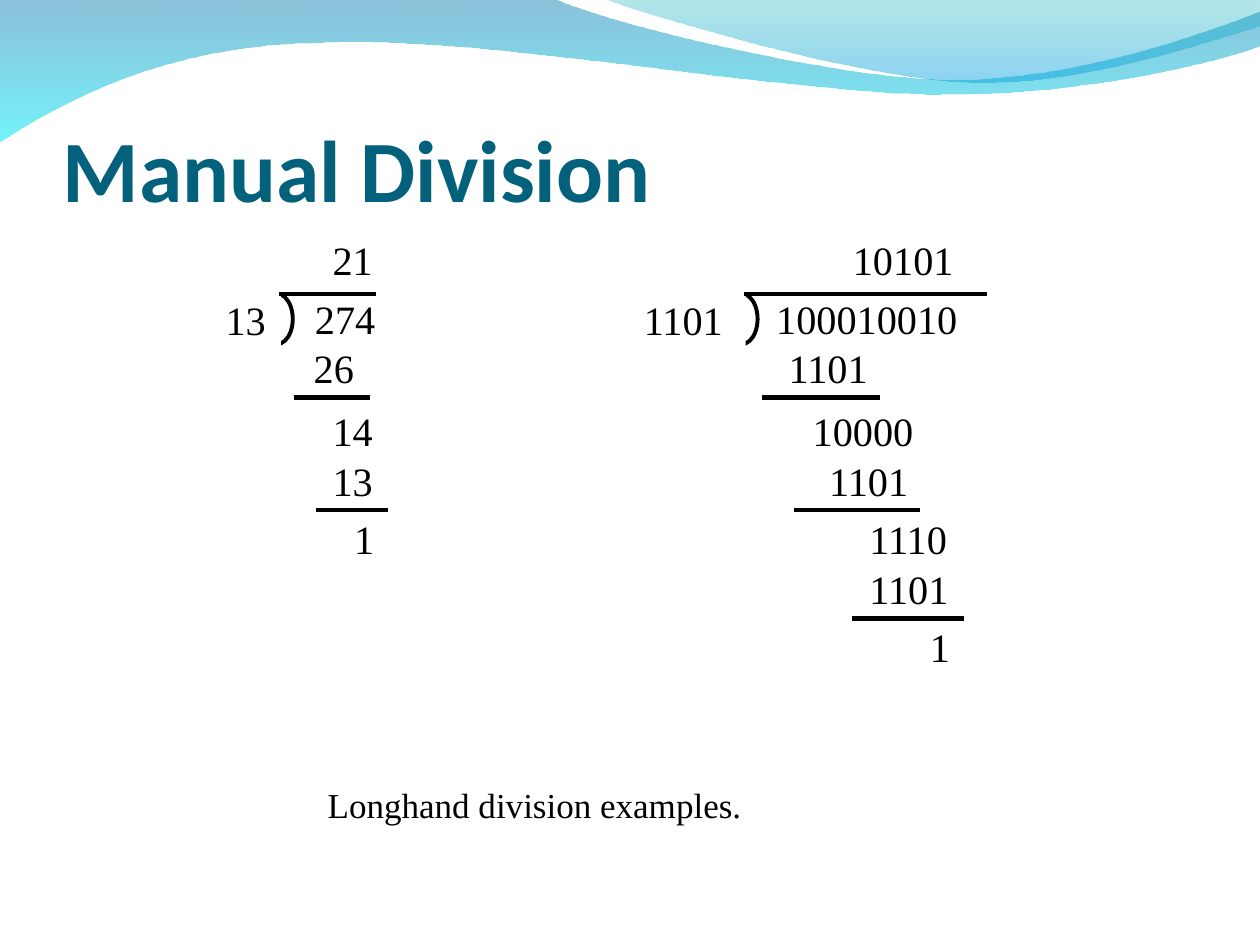
from lxml.etree import SubElement
from pptx import Presentation
from pptx.dml.color import RGBColor
from pptx.enum.shapes import MSO_CONNECTOR, MSO_SHAPE
from pptx.enum.text import MSO_ANCHOR, MSO_AUTO_SIZE, PP_ALIGN
from pptx.oxml.ns import qn
from pptx.util import Pt

BLACK = RGBColor(0x00, 0x00, 0x00)
WHITE = RGBColor(0xFF, 0xFF, 0xFF)
TITLE_TEAL = RGBColor(0x04, 0x61, 0x7B)
WAVE_BLUE = RGBColor(0x00, 0x79, 0xAF)
WAVE_CYAN = RGBColor(0x00, 0xEB, 0xF8)
CREST_GREEN = RGBColor(0x00, 0xAD, 0xB6)
CREST_BLUE = RGBColor(0x00, 0x9B, 0xE5)

SERIF = "Times New Roman"
DIGIT_SIZE = 23
DIGIT_WIDTH = 11.6
LINE_HEIGHT = 27

# Offsets from the top of a worked example
DIVIDEND_TOP = 33.3
STEP_TOPS = (61.8, 97.8, 126, 159.2, 188, 221.1)
RULE_DROP = 30.8  # from the top of a product to the rule below it

# Numbers are (digits, left), rules (left, right), from the example's left;
# a divisor is (digits, indent, panel width)
DECIMAL = dict(
    divisor=("13", 0, 31.7), bar_end=85.7,
    quotient=("21", 61.2), dividend=("274", 51.1),
    steps=[("26", 50.4), ("14", 61.2), ("13", 61.2), ("1", 73.4)],
    rules=[(38.9, 82.8), (51.8, 92.9)],
)
BINARY = dict(
    divisor=("1101", 11.5, 69.8), bar_end=207.4,
    quotient=("10101", 131), dividend=("100010010", 87.1),
    steps=[("1101", 94.3), ("10000", 108), ("1101", 117.4),
           ("1110", 140.4), ("1101", 140.4), ("1", 175)],
    rules=[(79.2, 146.2), (97.2, 169.2), (130.3, 194.4)],
)


def add_text(slide, text, left, top, width, height, size=DIGIT_SIZE, font=SERIF,
             color=BLACK, bold=False, align=PP_ALIGN.LEFT, wrap=False):
    box = slide.shapes.add_textbox(Pt(left), Pt(top), Pt(width), Pt(height))
    frame = box.text_frame
    frame.word_wrap = wrap
    frame.auto_size = MSO_AUTO_SIZE.NONE if wrap else MSO_AUTO_SIZE.SHAPE_TO_FIT_TEXT
    frame.margin_left = frame.margin_right = frame.margin_top = frame.margin_bottom = 0
    paragraph = frame.paragraphs[0]
    paragraph.text = text
    paragraph.alignment = align
    paragraph.font.name = font
    paragraph.font.size = Pt(size)
    paragraph.font.bold = bold
    paragraph.font.color.rgb = color
    return box


def add_rule(slide, left, right, y):
    rule = slide.shapes.add_connector(MSO_CONNECTOR.STRAIGHT, Pt(left), Pt(y), Pt(right), Pt(y))
    rule.line.color.rgb = BLACK
    rule.line.width = Pt(2.64)
    SubElement(rule._element.spPr, qn("a:effectLst"))


def bend_outline(shape, segments):
    """Turn each run of three lines that stands for a curve into one cubic curve."""
    lines = iter(list(shape._element.spPr.iter(qn("a:lnTo"))))
    for segment in segments:
        parts = [next(lines) for _ in segment]
        if len(parts) == 3:
            outline = parts[0].getparent()
            curve = SubElement(outline, qn("a:cubicBezTo"))
            outline.replace(parts[0], curve)
            for part in parts:
                curve.append(part[0])
            for part in parts[1:]:
                outline.remove(part)


def add_wave(slide, start, segments, stops):
    """Draw a closed outline; a segment is one point (line) or three (curve)."""
    builder = slide.shapes.build_freeform(Pt(start[0]), Pt(start[1]))
    builder.add_line_segments(
        [(Pt(x), Pt(y)) for segment in segments for x, y in segment], close=True)
    wave = builder.convert_to_shape()
    bend_outline(wave, segments)
    wave.shadow.inherit = False
    wave.line.fill.background()
    wave.fill.gradient()
    wave.fill.gradient_angle = 270
    for stop, position, (color, _) in zip(wave.fill.gradient_stops, (0, 1), stops):
        stop.position = position
        stop.color.rgb = color
    for color_node, (_, opacity) in zip(wave._element.spPr.iter(qn("a:srgbClr")), stops):
        SubElement(color_node, qn("a:alpha"), val=str(opacity * 1000))


def add_header_waves(slide):
    add_wave(slide, (0, -0.7), [
        [(316.8, -0.7)],
        [(342.7, 12.2), (478.1, 45.4), (545.8, 45.4)],
        [(614.2, 45.4), (689.8, 18.7), (720, 6.5)],
        [(720.7, 25.9)],
        [(707.8, 31.7), (626.4, 54.7), (537.1, 54)],
        [(447.8, 54), (275, 20.2), (185, 24.5)],
        [(92.9, 25.2), (33.1, 59.8), (-0.7, 81.4)],
    ], [(WAVE_BLUE, 45), (WAVE_CYAN, 55)])
    add_wave(slide, (344.9, -0.7), [
        [(366.5, 7.9), (491, 44.6), (553.7, 46.8)],
        [(616.3, 49.7), (691.9, 23), (720, 15.1)],
        [(720, 0)],
    ], [(CREST_GREEN, 30), (CREST_BLUE, 45)])


def add_title(slide, left, top, width, height):
    title = add_text(slide, "Manual Division", left, top, width, height, size=50,
                     font="Calibri", color=TITLE_TEAL, bold=True, wrap=True)
    title.text_frame.vertical_anchor = MSO_ANCHOR.BOTTOM
    title.text_frame.margin_top = Pt(3.6)


def add_divisor(slide, left, top, divisor):
    """Place the divisor on a white panel that leaves half the ellipse as a bracket."""
    digits, indent, width = divisor
    bracket = slide.shapes.add_shape(
        MSO_SHAPE.OVAL, Pt(left + width - 11.3), Pt(top + DIVIDEND_TOP), Pt(18), Pt(28.8))
    bracket.shadow.inherit = False
    bracket.fill.background()
    bracket.line.color.rgb = BLACK
    bracket.line.width = Pt(2.25)
    panel = add_text(slide, digits, left, top + 6.5, width, 82.8, wrap=True)
    panel.fill.solid()
    panel.fill.fore_color.rgb = WHITE
    panel.text_frame.margin_left = Pt(indent)
    panel.text_frame.margin_top = Pt(27.4)


def add_long_division(slide, left, top, divisor, bar_end, quotient, dividend, steps, rules):
    add_divisor(slide, left, top, divisor)
    add_rule(slide, left + divisor[2] - 1, left + bar_end, top + DIVIDEND_TOP + 0.2)
    tops = (0, DIVIDEND_TOP, *STEP_TOPS)
    for (digits, x), y in zip([quotient, dividend, *steps], tops):
        add_text(slide, digits, left + x, top + y, len(digits) * DIGIT_WIDTH, LINE_HEIGHT)
    for (start, end), product_top in zip(rules, STEP_TOPS[::2]):
        add_rule(slide, left + start, left + end, top + product_top + RULE_DROP)


def main():
    deck = Presentation()
    deck.slide_width, deck.slide_height = Pt(720), Pt(540)
    slide = deck.slides.add_slide(deck.slide_layouts[6])
    add_header_waves(slide)
    add_title(slide, 36, 36, 648, 90)
    add_long_division(slide, 128.9, 134.6, **DECIMAL)
    add_long_division(slide, 356.4, 134.6, **BINARY)
    add_text(slide, "Longhand division examples.", 187, 447.8, 237, 24,
             size=20, align=PP_ALIGN.CENTER)
    deck.save("out.pptx")


if __name__ == "__main__":
    main()
